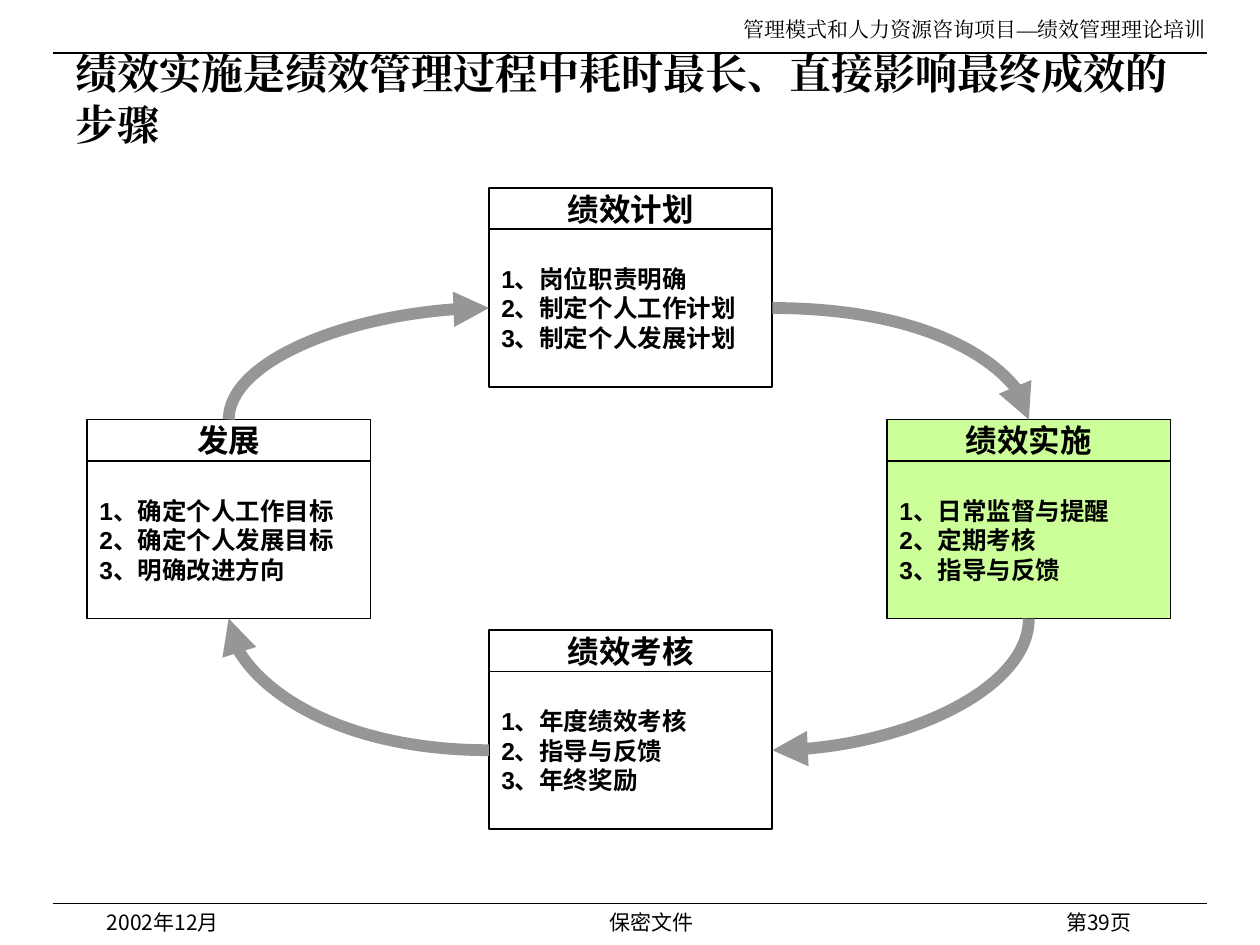
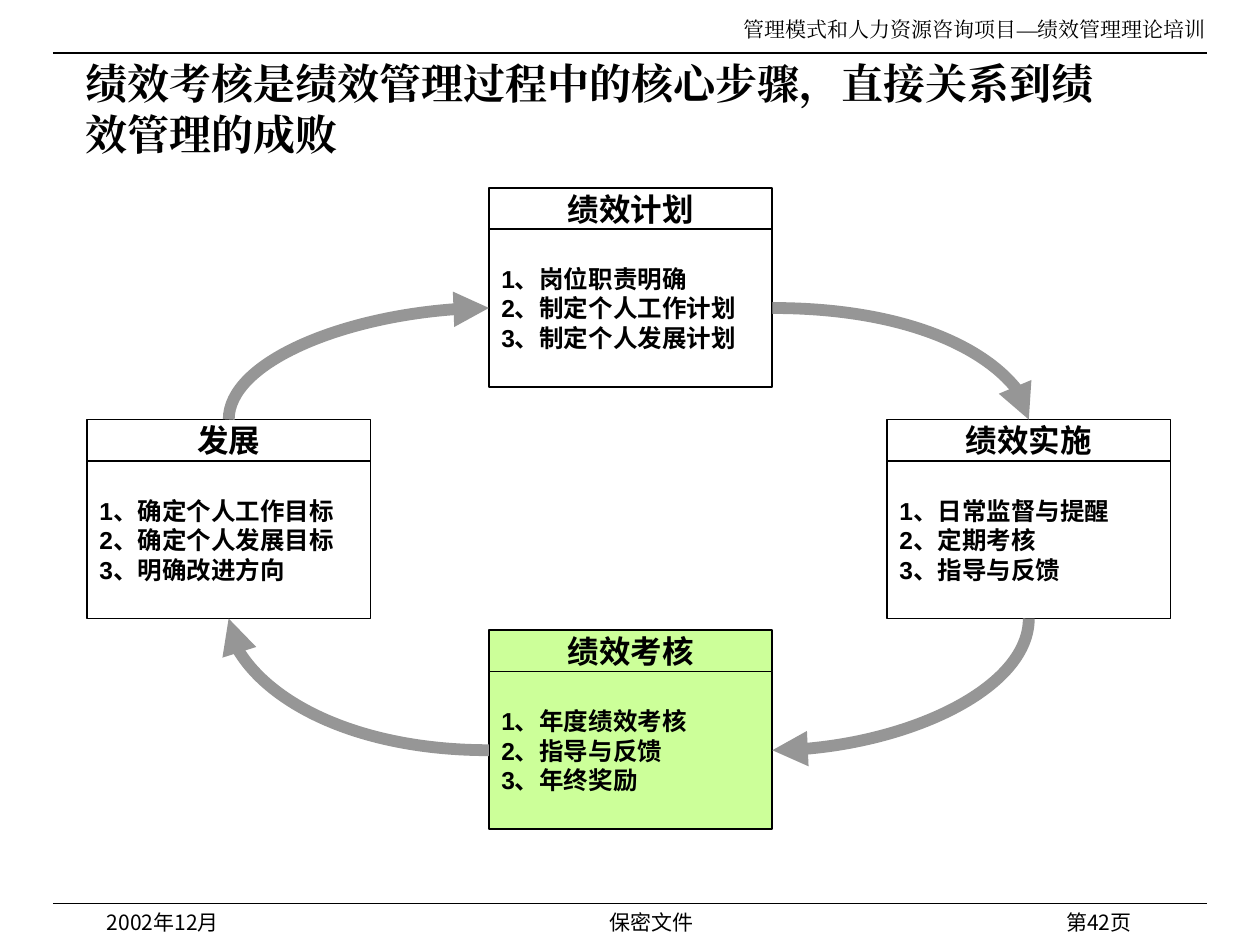
"""Build two slides showing the performance management cycle."""
from dataclasses import dataclass

from lxml.etree import SubElement
from pptx import Presentation
from pptx.dml.color import RGBColor
from pptx.enum.shapes import MSO_CONNECTOR as Link, MSO_SHAPE as Form
from pptx.enum.text import MSO_ANCHOR as Anchor, MSO_AUTO_SIZE as Fit, PP_ALIGN as Align
from pptx.oxml.ns import qn
from pptx.util import Inches, Pt

COLORS = {"ink": "000000", "focus": "CCFF99", "arrow": "969696"}
SANS, SERIF, HAN = "Arial", "Times New Roman", "Noto Sans CJK SC"
WIDE, HEAD, BODY = 2.25, 0.33, 1.25


@dataclass(frozen=True)
class Step:
    name: str
    left: float
    top: float
    items: tuple[str, ...]

    @property
    def mid(self) -> float:
        return self.left + WIDE / 2

    @property
    def right(self) -> float:
        return self.left + WIDE

    @property
    def axis(self) -> float:
        return self.top + HEAD + BODY / 2

    @property
    def base(self) -> float:
        return self.top + HEAD + BODY


@dataclass(frozen=True)
class Label:
    text: str
    left: float
    top: float
    width: float
    height: float
    align: Align
    face: str = HAN


@dataclass(frozen=True)
class Page:
    number: int
    title: str
    area: tuple[float, float, float, float]
    focus: str


PLAN = Step("绩效计划", 3.88, 1.49, ("岗位职责明确", "制定个人工作计划", "制定个人发展计划"))
WORK = Step("绩效实施", 7.04, 3.33, ("日常监督与提醒", "定期考核", "指导与反馈"))
CHECK = Step("绩效考核", 3.88, 5, ("年度绩效考核", "指导与反馈", "年终奖励"))
GROW = Step("发展", 0.69, 3.33, ("确定个人工作目标", "确定个人发展目标", "明确改进方向"))
STEPS = (PLAN, WORK, CHECK, GROW)

LABELS = (
    Label("2002年12月", 0.75, 7.17, 2.08, 0.25, Align.LEFT),
    Label("保密文件", 2.92, 7.17, 4.5, 0.25, Align.CENTER),
    Label("第{}页", 7, 7.17, 2.08, 0.17, Align.RIGHT),
    Label("管理模式和人力资源咨询项目—绩效管理理论培训", 5, 0.08, 4.67, 0.3, Align.RIGHT, SERIF),
)

PAGES = (
    Page(39, "绩效实施是绩效管理过程中耗时最长、直接影响最终成效的步骤",
         (0.5, 0.33, 8.92, 0.9), WORK.name),
    Page(42, "绩效考核是绩效管理过程中的核心步骤，直接关系到绩效管理的成败",
         (0.58, 0.41, 8.5, 0.9), CHECK.name),
)


def tint(name: str) -> RGBColor:
    return RGBColor.from_string(COLORS[name])


def write(frame, lines, size: float, face: str, align: Align, bold=False, anchor=Anchor.TOP) -> None:
    frame.text = "\n".join(lines)
    frame.word_wrap = True
    frame.auto_size = Fit.NONE
    frame.vertical_anchor = anchor
    for para in frame.paragraphs:
        para.alignment = align
        font = para.font
        font.size, font.name, font.bold = Pt(size), face, bold
        font.color.rgb = tint("ink")
        props = para._p.pPr.find(qn("a:defRPr"))
        SubElement(props, qn("a:ea")).set("typeface", face)


def draw_line(slide, kind: Link, start, end, color: str, width: float):
    line = slide.shapes.add_connector(kind, *map(Inches, (*start, *end)))
    line.line.color.rgb = tint(color)
    line.line.width = Pt(width)
    SubElement(line.element.spPr, qn("a:effectLst"))
    return line


def draw_arrow(slide, start, end, upright: bool) -> None:
    (x1, y1), (x2, y2) = start, end
    if upright:
        cx, cy = (x1 + x2) / 2, (y1 + y2) / 2
        dx, dy = (y2 - y1) / 2, (x1 - x2) / 2
        start, end = (cx - dx, cy - dy), (cx + dx, cy + dy)
    arrow = draw_line(slide, Link.CURVE, start, end, "arrow", 6.75)
    props = arrow.element.spPr
    props.find(qn("a:prstGeom")).set("prst", "curvedConnector2")
    if upright:
        props.find(qn("a:xfrm")).set("rot", "5400000")
    SubElement(props.find(qn("a:ln")), qn("a:tailEnd")).set("type", "triangle")


def draw_box(slide, step: Step, top: float, height: float, lit: bool):
    box = slide.shapes.add_shape(
        Form.RECTANGLE, *map(Inches, (step.left, top, WIDE, height)))
    box.shadow.inherit = False
    if lit:
        box.fill.solid()
        box.fill.fore_color.rgb = tint("focus")
    else:
        box.fill.background()
    box.line.color.rgb = tint("ink")
    box.line.width = Pt(1)
    return box.text_frame


def draw_step(slide, step: Step, lit: bool) -> None:
    head = draw_box(slide, step, step.top, HEAD, lit)
    write(head, [step.name], 18, SANS, Align.CENTER, True, Anchor.MIDDLE)
    body = draw_box(slide, step, step.top + HEAD, BODY, lit)
    lines = [f"{rank}、{item}" for rank, item in enumerate(step.items, 1)]
    write(body, lines, 14, SANS, Align.LEFT, True, Anchor.MIDDLE)


def draw_frame(slide, page: Page) -> None:
    for y in (0.42, 7.17):
        draw_line(slide, Link.STRAIGHT, (0.42, y), (9.58, y), "ink", 0.75)
    for label in LABELS:
        area = (label.left, label.top, label.width, label.height)
        box = slide.shapes.add_textbox(*map(Inches, area))
        write(box.text_frame, [label.text.format(page.number)], 12, label.face, label.align)
    title = slide.shapes.title
    title.left, title.top, title.width, title.height = map(Inches, page.area)
    write(title.text_frame, [page.title], 24, SERIF, Align.LEFT, True, Anchor.MIDDLE)


def draw_cycle(slide, focus: str) -> None:
    for step in STEPS:
        draw_step(slide, step, step.name == focus)
    draw_arrow(slide, (PLAN.right, PLAN.axis), (WORK.mid, WORK.top), False)
    draw_arrow(slide, (WORK.mid, WORK.base), (CHECK.right, CHECK.axis), True)
    draw_arrow(slide, (CHECK.left, CHECK.axis), (GROW.mid, GROW.base), False)
    draw_arrow(slide, (GROW.mid, GROW.top), (PLAN.left, PLAN.axis), True)


def main() -> None:
    deck = Presentation()
    deck.slide_width, deck.slide_height = Inches(10), Inches(7.5)
    for page in PAGES:
        slide = deck.slides.add_slide(deck.slide_layouts[5])
        draw_frame(slide, page)
        draw_cycle(slide, page.focus)
    deck.save("out.pptx")


if __name__ == "__main__":
    main()
